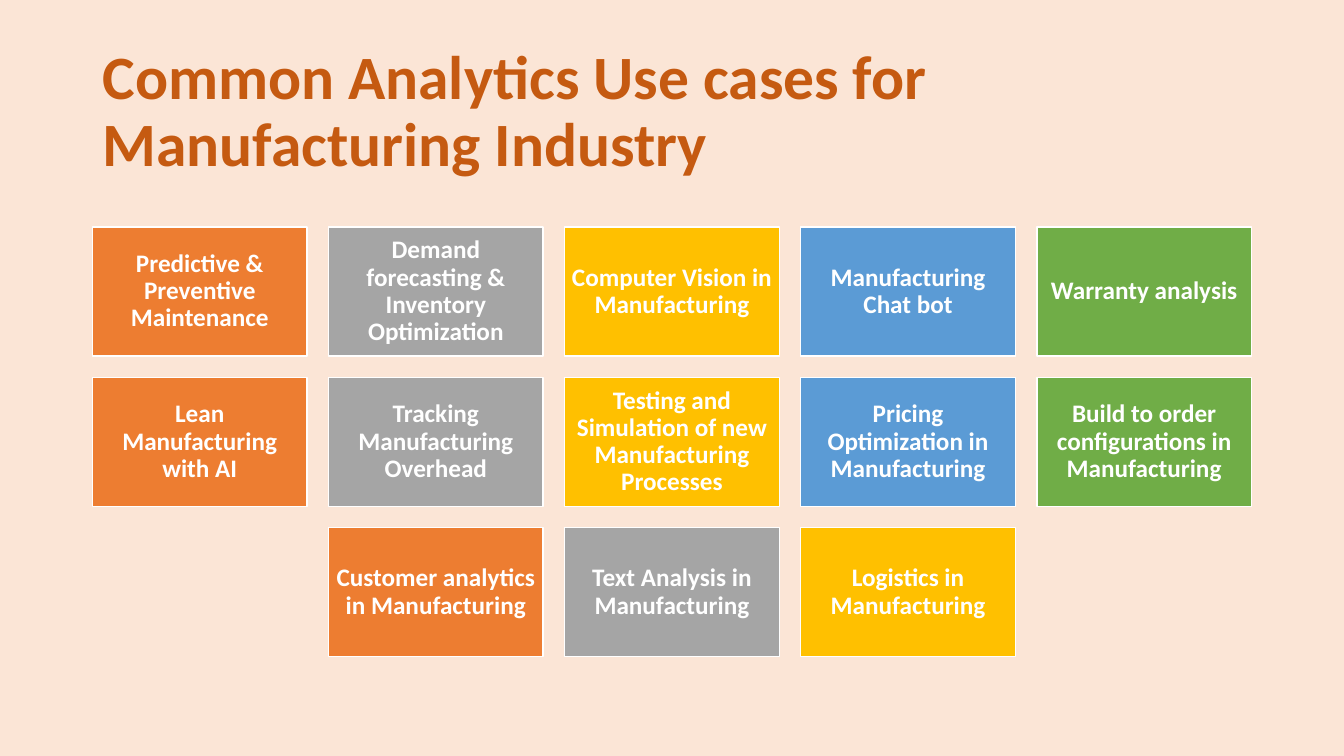
"""Build a slide with a grid of analytics use cases for manufacturing."""
from pptx import Presentation
from pptx.dml.color import RGBColor
from pptx.enum.shapes import MSO_SHAPE
from pptx.enum.text import MSO_ANCHOR, MSO_AUTO_SIZE, PP_ALIGN
from pptx.util import Cm, Pt

COLUMNS = 5
GRID_LEFT, GRID_TOP = 2.33, 5.72
COLUMN_PITCH, ROW_PITCH = 5.95, 3.79
TILE_WIDTH, TILE_HEIGHT = 5.41, 3.25
TILE_INSET = 0.17
TILE_COLOURS = ["ED7D31", "A5A5A5", "FFC000", "5B9BD5", "70AD47"]
USE_CASES = [
    ["Predictive & Preventive Maintenance",
     "Demand forecasting & Inventory Optimization",
     "Computer Vision in Manufacturing",
     "Manufacturing Chat bot",
     "Warranty analysis"],
    ["Lean Manufacturing with AI",
     "Tracking Manufacturing Overhead",
     "Testing and Simulation of new Manufacturing Processes",
     "Pricing Optimization in Manufacturing",
     "Build to order configurations in Manufacturing"],
    ["Customer analytics in Manufacturing",
     "Text Analysis in Manufacturing",
     "Logistics in Manufacturing"],
]


def paint(fill, colour):
    fill.solid()
    fill.fore_color.rgb = RGBColor.from_string(colour)


def write(frame, text, size, colour, alignment):
    frame.text = text
    frame.word_wrap = True
    frame.auto_size = MSO_AUTO_SIZE.NONE
    frame.vertical_anchor = MSO_ANCHOR.MIDDLE
    paragraph = frame.paragraphs[0]
    paragraph.alignment = alignment
    paragraph.line_spacing = 0.9
    font = paragraph.runs[0].font
    font.name = "Calibri"
    font.size = Pt(size)
    font.bold = True
    paint(font.fill, colour)


def add_heading(slide, text):
    heading = slide.shapes.title
    heading.left, heading.top = Cm(2.33), Cm(1.01)
    heading.width, heading.height = Cm(29.21), Cm(3.68)
    write(heading.text_frame, text, 44, "C55A11", PP_ALIGN.LEFT)


def add_tile(slide, left, top, use_case, colour):
    tile = slide.shapes.add_shape(
        MSO_SHAPE.RECTANGLE, Cm(left), Cm(top), Cm(TILE_WIDTH), Cm(TILE_HEIGHT))
    tile.shadow.inherit = False
    paint(tile.fill, colour)
    paint(tile.line.fill, "FFFFFF")
    tile.line.width = Pt(1)
    frame = tile.text_frame
    frame.margin_left = frame.margin_right = Cm(TILE_INSET)
    frame.margin_top = frame.margin_bottom = Cm(TILE_INSET)
    write(frame, use_case, 18, "FFFFFF", PP_ALIGN.CENTER)


def add_use_case_grid(slide):
    for row, use_cases in enumerate(USE_CASES):
        top = GRID_TOP + row * ROW_PITCH
        first_column = (COLUMNS - len(use_cases)) / 2
        for column, (use_case, colour) in enumerate(zip(use_cases, TILE_COLOURS)):
            left = GRID_LEFT + (first_column + column) * COLUMN_PITCH
            add_tile(slide, left, top, use_case, colour)


def main():
    presentation = Presentation()
    presentation.slide_width, presentation.slide_height = Cm(33.87), Cm(19.05)
    slide = presentation.slides.add_slide(
        presentation.slide_layouts.get_by_name("Title Only"))
    paint(slide.background.fill, "FBE5D6")
    add_heading(slide, "Common Analytics Use cases for Manufacturing Industry")
    add_use_case_grid(slide)
    presentation.save("out.pptx")


if __name__ == "__main__":
    main()
